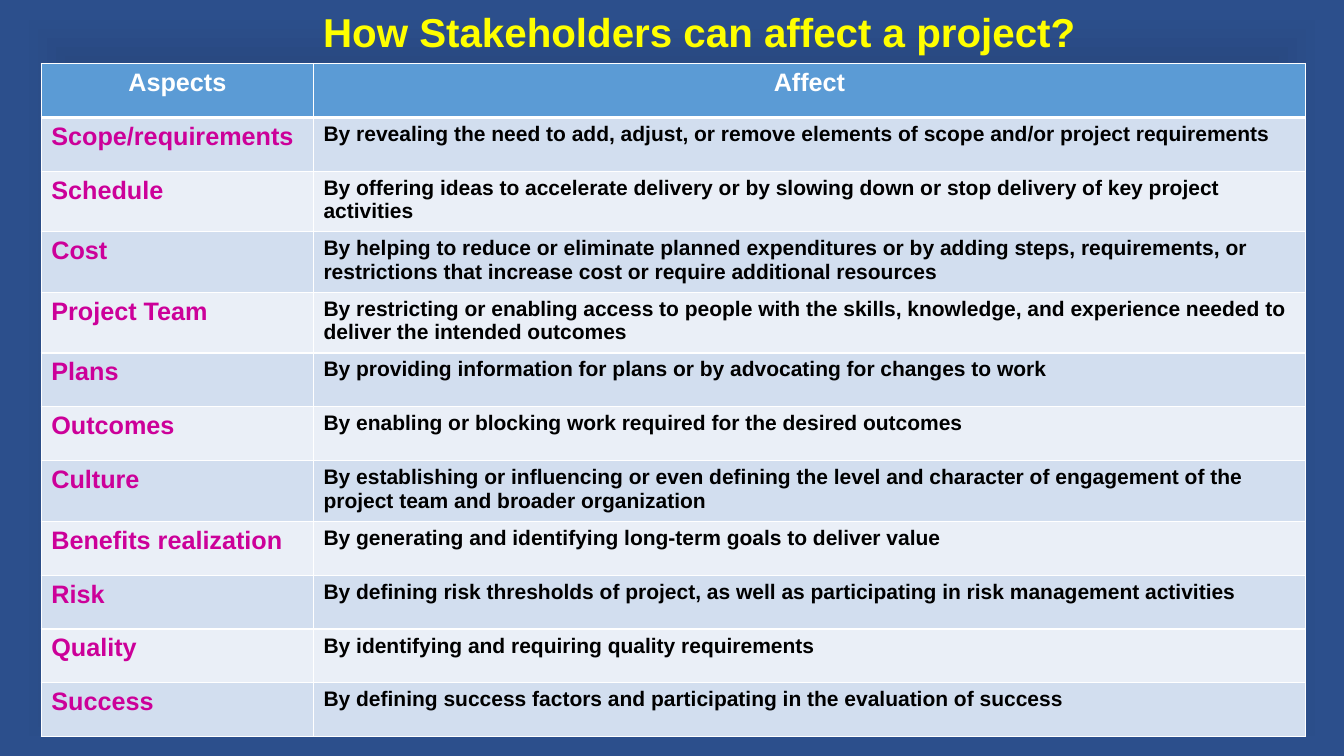
from lxml import etree
from pptx import Presentation
from pptx.dml.color import RGBColor as RGB
from pptx.enum.text import MSO_ANCHOR as Anchor, PP_ALIGN as Align
from pptx.oxml import parse_xml
from pptx.oxml.ns import nsdecls, qn
from pptx.util import Pt

COLORS = {
    "title": "FFFF00", "white": "FFFFFF", "aspect": "CC0099", "affect": "000000",
    "head": "5B9BD5", "odd": "D2DEEF", "even": "EAEFF7",
}
STOPS = [(0, "3864B3"), (23, "3864B3"), (64, "233F70"), (97, "2C4F8C")]
ROWS = [
    ("Aspects", "Affect"),
    ("Scope/requirements", "By revealing the need to add, adjust, or remove elements of scope and/or project requirements"),
    ("Schedule", "By offering ideas to accelerate delivery or by slowing down or stop delivery of key project activities"),
    ("Cost", "By helping to reduce or eliminate planned expenditures or by adding steps, requirements, or restrictions that increase cost or require additional resources"),
    ("Project Team", "By restricting or enabling access to people with the skills, knowledge, and experience needed to deliver the intended outcomes"),
    ("Plans", "By providing information for plans or by advocating for changes to work"),
    ("Outcomes", "By enabling or blocking work required for the desired outcomes"),
    ("Culture", "By establishing or influencing or even defining the level and character of engagement of the project team and broader organization"),
    ("Benefits realization", "By generating and identifying long-term goals to deliver value"),
    ("Risk", "By defining risk thresholds of project, as well as participating in risk management activities"),
    ("Quality", "By identifying and requiring quality requirements"),
    ("Success", "By defining success factors and participating in the evaluation of success"),
]
WIDTHS = (194.4, 708.6)
HEIGHT = 38.5


def write(frame, text, size, color, align=Align.LEFT, spacing=1.0):
    frame.word_wrap = True
    para = frame.paragraphs[0]
    para.alignment = align
    para.line_spacing = spacing
    run = para.add_run()
    run.text = text
    font = run.font
    font.name, font.size, font.bold = "Arial", Pt(size), True
    font.color.rgb = RGB.from_string(COLORS[color])


def paint_back(slide):
    stops = "".join(
        f'<a:gs pos="{pos * 1000}"><a:srgbClr val="{color}"/></a:gs>' for pos, color in STOPS)
    slide.element.cSld.insert(0, parse_xml(
        f'<p:bg {nsdecls("p", "a")}><p:bgPr><a:gradFill rotWithShape="1">'
        f'<a:gsLst>{stops}</a:gsLst><a:path path="shape">'
        '<a:fillToRect l="50000" t="50000" r="50000" b="50000"/></a:path>'
        '</a:gradFill><a:effectLst/></p:bgPr></p:bg>'))


def add_title(slide, text):
    frame = slide.shapes.add_textbox(Pt(66.24), Pt(6.48), Pt(866.88), Pt(36)).text_frame
    frame.vertical_anchor = Anchor.MIDDLE
    write(frame, text, 28.8, "title", Align.CENTER, 0.9)


def edge(cell, side, width):
    line = etree.SubElement(cell._tc.get_or_add_tcPr(), qn(f"a:ln{side}"), w=str(Pt(width)))
    fill = etree.SubElement(line, qn("a:solidFill"))
    etree.SubElement(fill, qn("a:srgbClr"), val=COLORS["white"])


def style(cell, row):
    """Set the borders and the banded fill; the header has a thick rule below."""
    for side in "LRTB":
        thick = (row, side) in ((0, "B"), (1, "T"))
        edge(cell, side, 3 if thick else 1)
    band = "head" if row == 0 else "odd" if row % 2 else "even"
    cell.fill.solid()
    cell.fill.fore_color.rgb = RGB.from_string(COLORS[band])


def add_grid(slide):
    table = slide.shapes.add_table(
        len(ROWS), len(WIDTHS), Pt(29.5), Pt(45.4),
        Pt(sum(WIDTHS)), Pt(HEIGHT * len(ROWS))).table
    for column, width in zip(table.columns, WIDTHS):
        column.width = Pt(width)
    for row, texts in enumerate(ROWS):
        table.rows[row].height = Pt(HEIGHT)
        for col, text in enumerate(texts):
            cell = table.cell(row, col)
            style(cell, row)
            if row == 0:
                write(cell.text_frame, text, 18, "white", Align.CENTER)
            elif col == 0:
                write(cell.text_frame, text, 18, "aspect")
            else:
                write(cell.text_frame, text, 15, "affect")


def main():
    deck = Presentation()
    deck.slide_width, deck.slide_height = Pt(960), Pt(540)
    slide = deck.slides.add_slide(deck.slide_layouts[6])
    paint_back(slide)
    add_title(slide, "How Stakeholders can affect a project?")
    add_grid(slide)
    deck.save("out.pptx")


if __name__ == "__main__":
    main()
